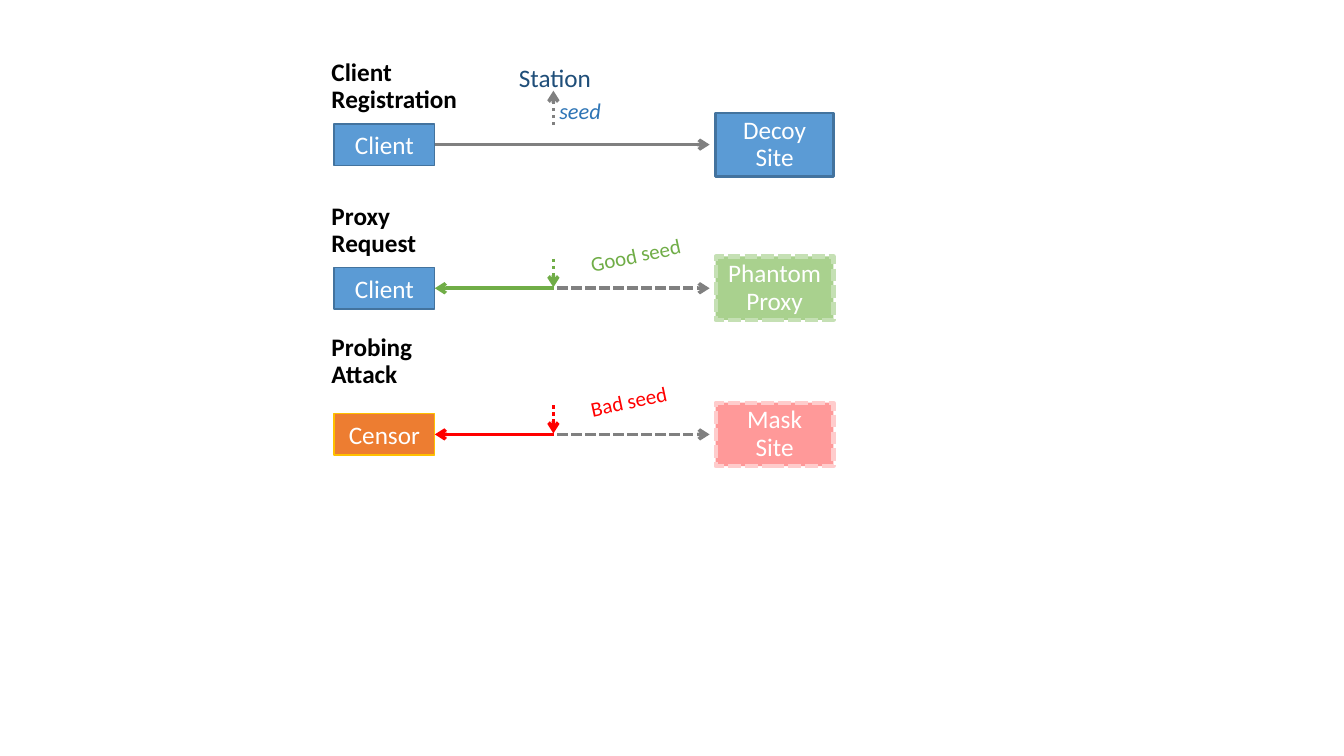
from pptx import Presentation
from pptx.dml.color import RGBColor
from pptx.enum.dml import MSO_LINE as DASH
from pptx.enum.shapes import MSO_CONNECTOR as CONN, MSO_SHAPE as SHAPE
from pptx.enum.text import MSO_ANCHOR as ANCHOR, MSO_AUTO_SIZE as AUTO, PP_ALIGN as ALIGN
from pptx.oxml.ns import qn
from pptx.util import Pt
from lxml.etree import SubElement

WHITE = RGBColor(0xFF, 0xFF, 0xFF)
BLACK = RGBColor(0, 0, 0)
GRAY = RGBColor(0x80, 0x80, 0x80)
BLUE = RGBColor(0x5B, 0x9B, 0xD5)
BLUE_EDGE = RGBColor(0x43, 0x73, 0x9E)
NAVY = RGBColor(0x1F, 0x4E, 0x79)
SEED_BLUE = RGBColor(0x2E, 0x75, 0xB6)
GREEN = RGBColor(0x70, 0xAD, 0x47)
GREEN_FILL = RGBColor(0xA9, 0xD1, 0x8E)
GREEN_EDGE = RGBColor(0xC5, 0xE0, 0xB4)
RED = RGBColor(0xFF, 0, 0)
PINK_FILL = RGBColor(0xFF, 0x99, 0x99)
PINK_EDGE = RGBColor(0xFF, 0xCC, 0xCC)
ORANGE = RGBColor(0xED, 0x7D, 0x31)
GOLD = RGBColor(0xFF, 0xC0, 0)

LEFT = 229.7
SOURCE_X, SOURCE_W, SOURCE_H = 8.9, 72, 29.5
TARGET_X, TARGET_W, TARGET_H = 281.5, 84.2, 45.4
TAP_X, DASH_X, TIP_X = 165.6, 158.4, 277.2


def write(tf, text, color, size=18, bold=None, italic=None, align=None, spacing=None):
    for i, para in enumerate(text.split("\n")):
        p = tf.add_paragraph() if i else tf.paragraphs[0]
        p.alignment = align
        p.line_spacing = spacing
        for j, line in enumerate(para.split("\v")):
            if j:
                p.add_line_break()
            r = p.add_run()
            r.text = line
            f = r.font
            f.name, f.size, f.bold, f.italic = "Calibri", Pt(size), bold, italic
            f.color.rgb = color


def add_label(s, x, y, w, h, text, color, rotation=0, **style):
    sp = s.shapes.add_textbox(Pt(x), Pt(y), Pt(w), Pt(h))
    sp.rotation = rotation
    tf = sp.text_frame
    tf.word_wrap = False
    tf.auto_size = AUTO.SHAPE_TO_FIT_TEXT
    write(tf, text, color, **style)


def add_node(s, x, mid, w, h, text, fill, edge, weight, dash=None, spacing=None):
    sp = s.shapes.add_shape(SHAPE.RECTANGLE, Pt(x), Pt(mid - h / 2), Pt(w), Pt(h))
    sp.shadow.inherit = False
    sp.fill.solid()
    sp.fill.fore_color.rgb = fill
    sp.line.color.rgb = edge
    sp.line.width = Pt(weight)
    sp.line.dash_style = dash
    tf = sp.text_frame
    tf.word_wrap = True
    tf.vertical_anchor = ANCHOR.MIDDLE
    write(tf, text, WHITE, align=ALIGN.CENTER, spacing=spacing)
    return sp


def add_arrow(s, x1, y1, x2, y2, color, dash=None, end="a:tailEnd"):
    c = s.shapes.add_connector(CONN.STRAIGHT, Pt(x1), Pt(y1), Pt(x2), Pt(y2))
    c.line.color.rgb = color
    c.line.width = Pt(2.5)
    c.line.dash_style = dash
    SubElement(c.line._get_or_add_ln(), qn(end), type="arrow")
    SubElement(c._element.spPr, qn("a:effectLst"))
    return c


def add_ends(s, x, axis, heading, heading_rise, heading_w, source, target):
    add_label(s, x, axis - heading_rise, heading_w, 46.8, heading, BLACK, bold=True, spacing=0.9)
    add_node(s, x + TARGET_X, axis, TARGET_W, TARGET_H, *target, spacing=0.9)
    return add_node(s, x + SOURCE_X, axis, SOURCE_W, SOURCE_H, *source, 1)


def add_registration(s, x, axis):
    client = add_ends(s, x, axis, "Client\vRegistration", 64.5, 105.1,
                      ("Client", BLUE, BLUE_EDGE),
                      ("Decoy Site", BLUE, BLUE_EDGE, 1.75))
    add_arrow(s, x + SOURCE_X + SOURCE_W, axis, x + TIP_X, axis, GRAY).begin_connect(client, 3)
    add_arrow(s, x + TAP_X, axis - 14, x + TAP_X, axis - 38.5, GRAY, DASH.ROUND_DOT)
    add_label(s, x + 132.5, axis - 62.3, 68.4, 28.8, "Station", NAVY, align=ALIGN.CENTER)
    add_label(s, x + 162.7, axis - 37.1, 44.6, 26.6, "seed", SEED_BLUE, size=16, italic=True)


def add_reply(s, x, axis, heading, heading_rise, heading_w, source, target, seed, seed_w, color):
    sender = add_ends(s, x, axis, heading, heading_rise, heading_w, source, target)
    add_arrow(s, x + DASH_X, axis, x + TIP_X, axis, GRAY, DASH.SQUARE_DOT)
    add_arrow(s, x + SOURCE_X + SOURCE_W, axis, x + TAP_X + 0.7, axis, color,
              end="a:headEnd").begin_connect(sender, 3)
    add_arrow(s, x + TAP_X, axis - 20.9, x + TAP_X, axis - 0.7, color, DASH.ROUND_DOT)
    add_label(s, x + 184.6, axis - 36.5, seed_w, 25.2, seed, color, rotation=347.9, size=15)


def main():
    prs = Presentation()
    prs.slide_width, prs.slide_height = Pt(960), Pt(540)
    s = prs.slides.add_slide(prs.slide_layouts[6])
    add_registration(s, LEFT, 103.3)
    add_reply(s, LEFT, 205.9, "Proxy \vRequest", 64.1, 75.6,
              ("Client", BLUE, BLUE_EDGE),
              ("Phantom Proxy", GREEN_FILL, GREEN_EDGE, 3, DASH.SQUARE_DOT),
              "Good seed", 80.6, GREEN)
    add_reply(s, LEFT, 310.3, "Probing\nAttack", 74.9, 72.7,
              ("Censor", ORANGE, GOLD),
              ("Mask\vSite", PINK_FILL, PINK_EDGE, 3, DASH.SQUARE_DOT),
              "Bad seed", 70.6, RED)
    prs.save("out.pptx")


if __name__ == "__main__":
    main()
